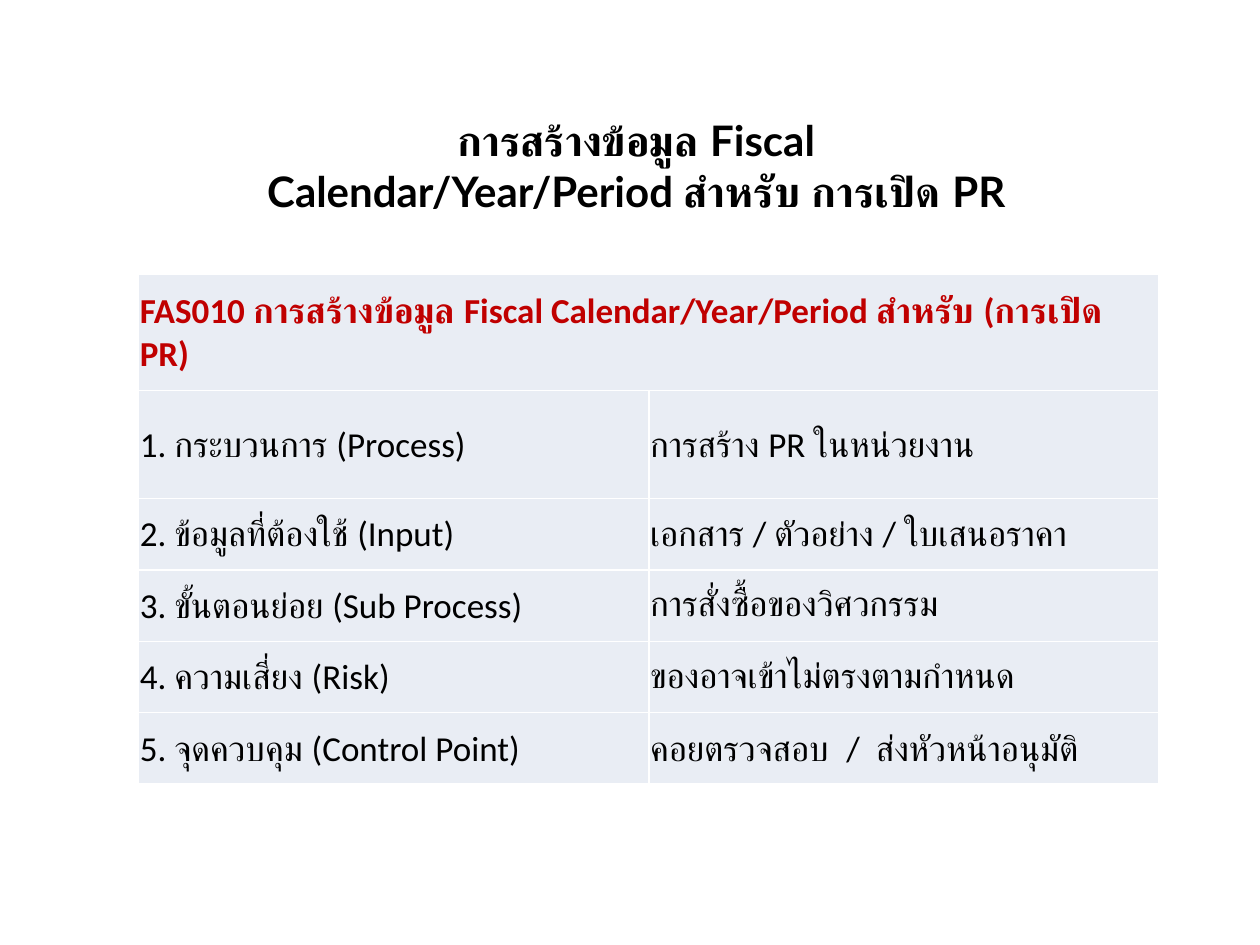
from lxml import etree
from pptx import Presentation, util as u
from pptx.dml.color import RGBColor
from pptx.enum import text
from pptx.oxml import ns

BLACK = RGBColor(0x00, 0x00, 0x00)
RED = RGBColor(0xC0, 0x00, 0x00)
WHITE = RGBColor(0xFF, 0xFF, 0xFF)
PALE = RGBColor(0xE9, 0xED, 0xF4)

WIDTH, HEIGHT = u.Inches(10), u.Inches(7.5)
TITLE_BOX = (0.2, 0.14, 0.61, 0.07)
TABLE_BOX = (0.11, 0.29, 0.81, 0.54)
ROW_WEIGHTS = (0.93, 0.86, 0.57, 0.57, 0.57, 0.57)

TITLE = "การสร้างข้อมูล Fiscal Calendar/Year/Period สำหรับ การเปิด PR"
HEADING = "FAS010 การสร้างข้อมูล Fiscal Calendar/Year/Period สำหรับ (การเปิด PR)"
DETAILS = (
    ("1. กระบวนการ (Process)", "การสร้าง PR ในหน่วยงาน"),
    ("2. ข้อมูลที่ต้องใช้ (Input)", "เอกสาร / ตัวอย่าง / ใบเสนอราคา"),
    ("3. ขั้นตอนย่อย (Sub Process)", "การสั่งซื้อของวิศวกรรม"),
    ("4. ความเสี่ยง (Risk)", "ของอาจเข้าไม่ตรงตามกำหนด"),
    ("5. จุดควบคุม (Control Point)", "คอยตรวจสอบ  /  ส่งหัวหน้าอนุมัติ"),
)

TITLE_FONT = {"name": "Lato", "size": u.Pt(24), "bold": True}
HEADING_FONT = {"name": "Calibri", "size": u.Pt(20), "bold": True}
DETAIL_FONT = {"name": "Calibri", "size": u.Pt(20), "bold": False}
CELL_FORMAT = {
    "vertical_anchor": text.MSO_ANCHOR.MIDDLE,
    "margin_left": u.Inches(0.01),
    "margin_top": u.Inches(0.01),
    "margin_right": u.Inches(0.01),
    "margin_bottom": 0,
}
FRAME_FORMAT = {
    "word_wrap": True,
    "vertical_anchor": text.MSO_ANCHOR.MIDDLE,
}


def apply(target, values):
    for name, value in values.items():
        setattr(target, name, value)


def place(shares):
    left, top, width, height = shares
    return (round(left * WIDTH), round(top * HEIGHT),
            round(width * WIDTH), round(height * HEIGHT))


def write(para, words, font, color):
    span = para.add_run()
    span.text = words
    apply(span.font, font)
    span.font.color.rgb = color


def add_borders(cell):
    properties = cell._tc.get_or_add_tcPr()
    for side in ("lnL", "lnR", "lnT", "lnB"):
        line = etree.SubElement(properties, ns.qn(f"a:{side}"), w=str(u.Pt(1)))
        fill = etree.SubElement(line, ns.qn("a:solidFill"))
        etree.SubElement(fill, ns.qn("a:srgbClr"), val=str(WHITE))


def add_title(page, box):
    frame = page.shapes.add_textbox(*box).text_frame
    apply(frame, FRAME_FORMAT)
    para = frame.paragraphs[0]
    para.alignment = text.PP_ALIGN.CENTER
    write(para, TITLE, TITLE_FONT, BLACK)


def add_process_table(page, box):
    rows = ((HEADING, ""),) + DETAILS
    table = page.shapes.add_table(len(rows), 2, *box).table
    for column in table.columns:
        column.width = box[2] // 2
    for row, weight in zip(table.rows, ROW_WEIGHTS):
        row.height = round(box[3] * weight / sum(ROW_WEIGHTS))
    table.cell(0, 0).merge(table.cell(0, 1))
    for index, words in enumerate(rows):
        font, color = (DETAIL_FONT, BLACK) if index else (HEADING_FONT, RED)
        for column, entry in enumerate(words):
            cell = table.cell(index, column)
            apply(cell, CELL_FORMAT)
            add_borders(cell)
            cell.fill.solid()
            cell.fill.fore_color.rgb = PALE
            if entry:
                write(cell.text_frame.paragraphs[0], entry, font, color)


def main():
    deck = Presentation()
    apply(deck, {"slide_width": WIDTH, "slide_height": HEIGHT})
    page = deck.slides.add_slide(deck.slide_layouts[6])
    add_title(page, place(TITLE_BOX))
    add_process_table(page, place(TABLE_BOX))
    deck.save("out.pptx")


if __name__ == "__main__":
    main()
